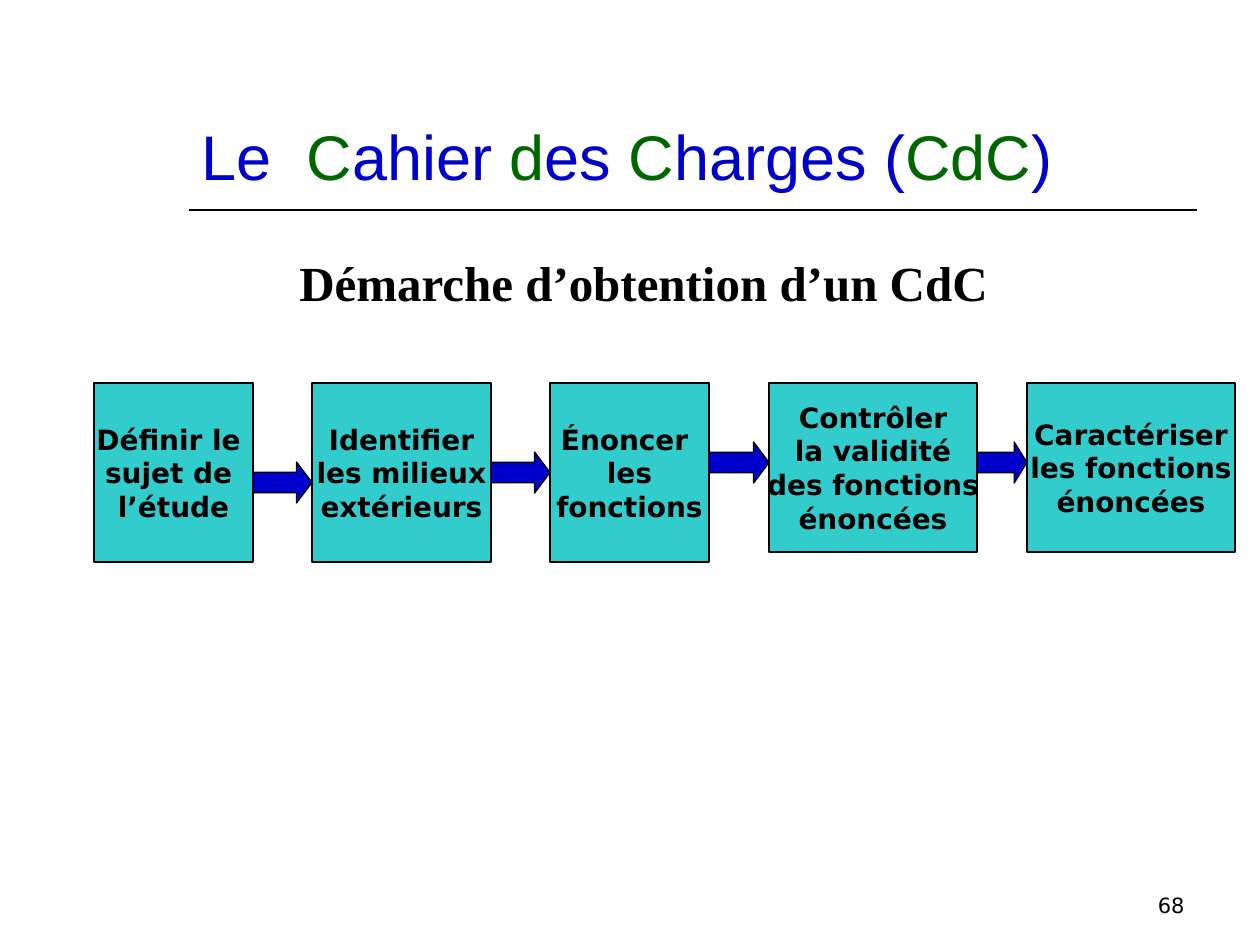
from itertools import pairwise

from lxml import etree
from pptx import Presentation
from pptx.dml.color import RGBColor
from pptx.enum.shapes import MSO_CONNECTOR, MSO_SHAPE
from pptx.enum.text import MSO_ANCHOR, PP_ALIGN
from pptx.oxml.ns import qn
from pptx.util import Emu, Pt

LINE = MSO_CONNECTOR.STRAIGHT
RECT, ARROW = MSO_SHAPE.RECTANGLE, MSO_SHAPE.RIGHT_ARROW
TOP, MIDDLE, BOTTOM = MSO_ANCHOR.TOP, MSO_ANCHOR.MIDDLE, MSO_ANCHOR.BOTTOM
LEFT, CENTER, RIGHT = PP_ALIGN.LEFT, PP_ALIGN.CENTER, PP_ALIGN.RIGHT

BLACK = RGBColor(0x00, 0x00, 0x00)
BLUE = RGBColor(0x00, 0x00, 0xCC)
GREEN = RGBColor(0x00, 0x66, 0x00)
TEAL = RGBColor(0x33, 0xCC, 0xCC)

PX_PER_INCH = 126
STEP_TOP = 383
ARROW_HEIGHT = 41

TITLE = [
    ("Le  ", BLUE), ("C", GREEN), ("ahier ", BLUE), ("d", GREEN), ("es ", BLUE),
    ("C", GREEN), ("harges (", BLUE), ("CdC", GREEN), (")", BLUE),
]
STEPS = [
    (94, 159, 179, ["Définir le ", "sujet de ", "l’étude"]),
    (312, 179, 179, ["Identifier", "les milieux", "extérieurs"]),
    (550, 159, 179, ["Énoncer ", "les", "fonctions"]),
    (769, 208, 169, ["Contrôler", "la validité", "des fonctions", "énoncées"]),
    (1027, 208, 169, ["Caractériser", "les fonctions", "énoncées"]),
]
ARROWS = [(462, 0.375), (452, 0.375), (442, 0.375), (442, 0.31)]


def px(*lengths):
    """Convert pixel lengths to EMU."""
    return [Emu(round(n * 914400 / PX_PER_INCH)) for n in lengths]


def write_lines(tf, lines, font, size, align, bold=False):
    """Write one black paragraph per line."""
    for i, line in enumerate(lines):
        p = tf.add_paragraph() if i else tf.paragraphs[0]
        p.text = line
        p.alignment = align
        p.font.name = font
        p.font.size = Pt(size)
        p.font.bold = bold
        p.font.color.rgb = BLACK


def add_title(s):
    """Fill the title placeholder with two-coloured text."""
    title = s.shapes.title
    title.left, title.top, title.width, title.height = px(189, 42, 1008, 157)
    tf = title.text_frame
    tf.vertical_anchor = BOTTOM
    p = tf.paragraphs[0]
    p.alignment = LEFT
    p.font.name = "Arial"
    p.font.size = Pt(36)
    for text, color in TITLE:
        r = p.add_run()
        r.text = text
        r.font.color.rgb = color


def add_rule(s, x1, x2, y):
    """Draw the thin horizontal rule under the title."""
    rule = s.shapes.add_connector(LINE, *px(x1, y, x2, y))
    rule.line.color.rgb = BLACK
    rule.line.width = Pt(1)
    etree.SubElement(rule._element.spPr, qn("a:effectLst"))


def add_label(s, box, text, font, size, align, anchor, bold=False):
    """Add a wrapped text box with one line of text."""
    tf = s.shapes.add_textbox(*px(*box)).text_frame
    tf.word_wrap = True
    tf.vertical_anchor = anchor
    write_lines(tf, [text], font, size, align, bold)


def add_block(s, kind, box, fill):
    """Add a filled shape with a thin black outline."""
    sp = s.shapes.add_shape(kind, *px(*box))
    sp.shadow.inherit = False
    sp.fill.solid()
    sp.fill.fore_color.rgb = fill
    sp.line.color.rgb = BLACK
    sp.line.width = Pt(0.75)
    return sp


def add_step(s, x, width, height, lines):
    """Add one process step with centred text."""
    tf = add_block(s, RECT, (x, STEP_TOP, width, height), TEAL).text_frame
    tf.word_wrap = False
    tf.vertical_anchor = MIDDLE
    write_lines(tf, lines, "DejaVu Sans", 16, CENTER, bold=True)


def add_arrow(s, x1, x2, y, head):
    """Add a block arrow that spans the gap between two steps."""
    sp = add_block(s, ARROW, (x1, y, x2 - x1, ARROW_HEIGHT), BLUE)
    sp.adjustments[0] = 0.5
    sp.adjustments[1] = head


def main():
    """Build the slide and save it."""
    prs = Presentation()
    prs.slide_width, prs.slide_height = px(1260, 945)
    s = prs.slides.add_slide(prs.slide_layouts[5])
    add_rule(s, 189, 1197, 210)
    add_label(s, (903, 861, 294, 63), "68", "DejaVu Sans", 12, RIGHT, BOTTOM)
    add_title(s)
    for step in STEPS:
        add_step(s, *step)
    for (start, end), (y, head) in zip(pairwise(STEPS), ARROWS):
        add_arrow(s, start[0] + start[1], end[0], y, head)
    add_label(s, (220, 246, 847, 72), "Démarche d’obtention d’un CdC",
              "Times New Roman", 28, CENTER, TOP, bold=True)
    prs.save("out.pptx")


if __name__ == "__main__":
    main()
